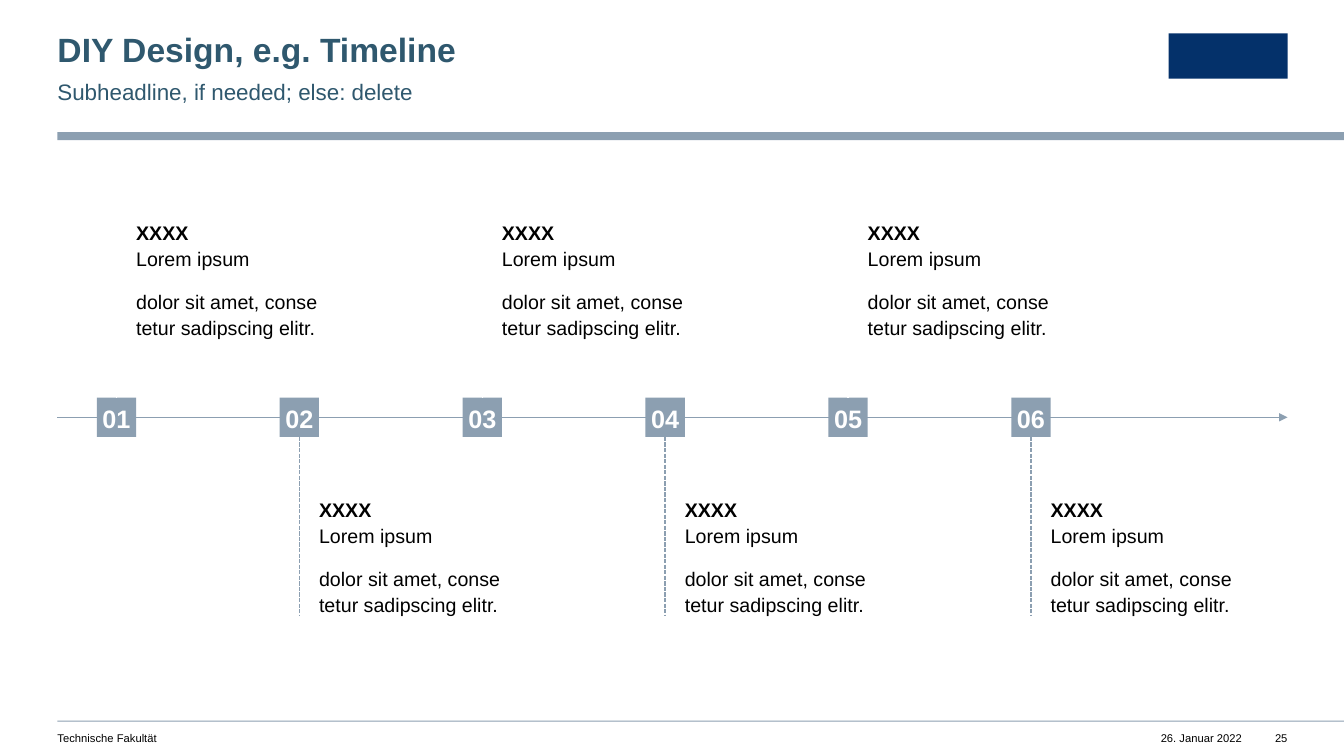
from copy import deepcopy

from lxml import etree
from pptx import Presentation
from pptx import util as u
from pptx.dml.color import RGBColor
from pptx.enum import dml, shapes, text
from pptx.oxml import ns

STEEL, PETROL, NAVY, BLACK, WHITE = "8C9FB1", "2F586E", "04316A", "000000", "FFFFFF"
TOP, BOTTOM = 0, 2


def rgb(value):
    return RGBColor.from_string(value)


class TimelineSlide:
    font_name = "Arial"

    def __init__(self, deck):
        self.slide = deck.slides.add_slide(deck.slide_layouts[5])
        self.shapes = self.slide.shapes

    def set_text(self, frame, paragraphs, size, color, bold=False, align="LEFT",
                 anchor="TOP", spacing=1.0, after=0):
        """Each paragraph is a list of lines; a line is (text, bold) or text."""
        frame_format = {
            "margin_left": 0, "margin_top": 0, "margin_right": 0, "margin_bottom": 0,
            "word_wrap": True, "auto_size": text.MSO_AUTO_SIZE.NONE,
            "vertical_anchor": text.MSO_ANCHOR[anchor],
        }
        for key, value in frame_format.items():
            setattr(frame, key, value)
        for index, lines in enumerate(paragraphs):
            paragraph = frame.add_paragraph() if index else frame.paragraphs[0]
            paragraph_format = {
                "alignment": text.PP_ALIGN[align], "line_spacing": spacing,
                "space_before": u.Pt(0), "space_after": u.Pt(after),
            }
            for key, value in paragraph_format.items():
                setattr(paragraph, key, value)
            for number, line in enumerate(lines):
                words, heavy = line if isinstance(line, tuple) else (line, bold)
                if number:
                    paragraph.add_line_break()
                run = paragraph.add_run()
                run.text = words
                run_format = {"name": self.font_name, "size": u.Pt(size), "bold": heavy}
                for key, value in run_format.items():
                    setattr(run.font, key, value)
                run.font.color.rgb = rgb(color)
            # Line breaks take the size of the text around them
            for line_break in paragraph._p.findall(ns.qn("a:br")):
                line_break.insert(0, deepcopy(run.font._element))

    def title(self, words, left, top, width, height, **style):
        headline = self.shapes.title
        place = {"left": left, "top": top, "width": width, "height": height}
        for key, value in place.items():
            setattr(headline, key, u.Inches(value))
        self.set_text(headline.text_frame, [[words]], **style)

    def label(self, paragraphs, left, top, width, height, **style):
        box = self.shapes.add_textbox(*map(u.Inches, (left, top, width, height)))
        self.set_text(box.text_frame, paragraphs, **style)

    def block(self, left, top, width, height, fill):
        bar = self.shapes.add_shape(shapes.MSO_SHAPE.RECTANGLE,
                                    *map(u.Inches, (left, top, width, height)))
        bar.shadow.inherit = False
        bar.fill.solid()
        bar.fill.fore_color.rgb = rgb(fill)
        bar.line.fill.background()
        return bar

    def line(self, x1, y1, x2, y2, color, dashed=False, arrow=False):
        rule = self.shapes.add_connector(shapes.MSO_CONNECTOR.STRAIGHT,
                                         *map(u.Inches, (x1, y1, x2, y2)))
        rule.line.color.rgb = rgb(color)
        rule.line.width = u.Pt(1)
        if dashed:
            rule.line.dash_style = dml.MSO_LINE.SQUARE_DOT
        if arrow:
            outline = rule._element.spPr.find(ns.qn("a:ln"))
            etree.SubElement(outline, ns.qn("a:tailEnd"), type="triangle")
        etree.SubElement(rule._element.spPr, ns.qn("a:effectLst"))
        return rule


def main():
    deck = Presentation()
    deck.slide_width, deck.slide_height = u.Inches(13.33), u.Inches(7.5)
    page = TimelineSlide(deck)
    left, right = 0.57, 12.77

    # Header
    page.block(left, 1.31, 13.33 - left, 0.08, STEEL)
    page.block(11.59, 0.33, 1.18, 0.45, NAVY)
    page.title("DIY Design, e.g. Timeline", left, 0.33, 7.49, 0.36,
               size=24, color=PETROL, bold=True, spacing=0.9)
    page.label([["Subheadline, if needed; else: delete"]], left, 0.75, 7.1, 0.27,
               size=16, color=PETROL, spacing=1.1)

    # Footer
    page.block(left, 7.15, 13.33 - left, 0.01, STEEL)
    for words, x, width, align in (("Technische Fakultät", left, 5.98, "LEFT"),
                                   ("26. Januar 2022", 11.39, 0.93, "RIGHT"),
                                   ("25", 12.56, 0.21, "RIGHT")):
        page.label([[words]], x, 7.26, width, 0.13, size=8, color=BLACK, align=align)

    # Time axis
    axis_y, side, stem = 4.14, 0.39, 1.77
    page.line(left, axis_y, right, axis_y, STEEL, arrow=True)

    # Milestones, with texts alternating above and below the axis
    first, last, count = 0.96, 10.03, 6
    pitch = (last - first) / (count - 1)
    details = [[("XXXX", True), "Lorem ipsum"],
               ["dolor sit amet, conse", "tetur sadipscing elitr."]]
    for step in range(count):
        x = first + step * pitch
        center = x + side / 2
        marker = page.block(x, axis_y - side / 2, side, side, STEEL)
        page.set_text(marker.text_frame, [[f"{step + 1:02d}"]], size=18, color=WHITE,
                      bold=True, align="CENTER", anchor="MIDDLE", spacing=1.1, after=12)
        above = step % 2 == 0
        page.label(details, x + side, 2.17 if above else 4.92, 1.95, 1.18,
                   size=14, color=BLACK, spacing=1.1, after=12)
        if above:
            edge = axis_y - side / 2
            guide = page.line(center, edge - stem, center, edge, WHITE, dashed=True)
            guide.end_connect(marker, TOP)
        else:
            edge = axis_y + side / 2
            guide = page.line(center, edge, center, edge + stem, STEEL, dashed=True)
            guide.begin_connect(marker, BOTTOM)

    deck.save("out.pptx")


if __name__ == "__main__":
    main()
